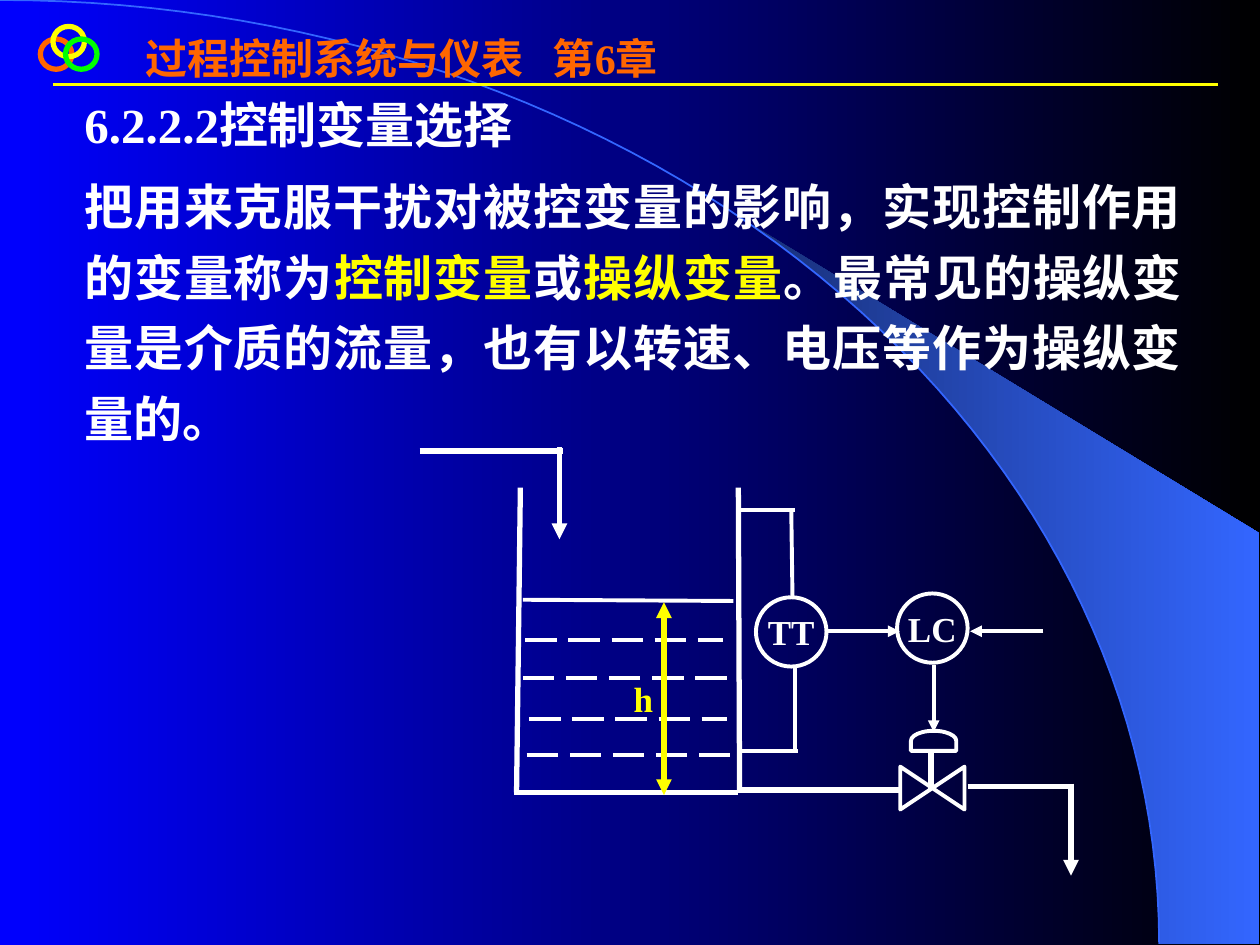
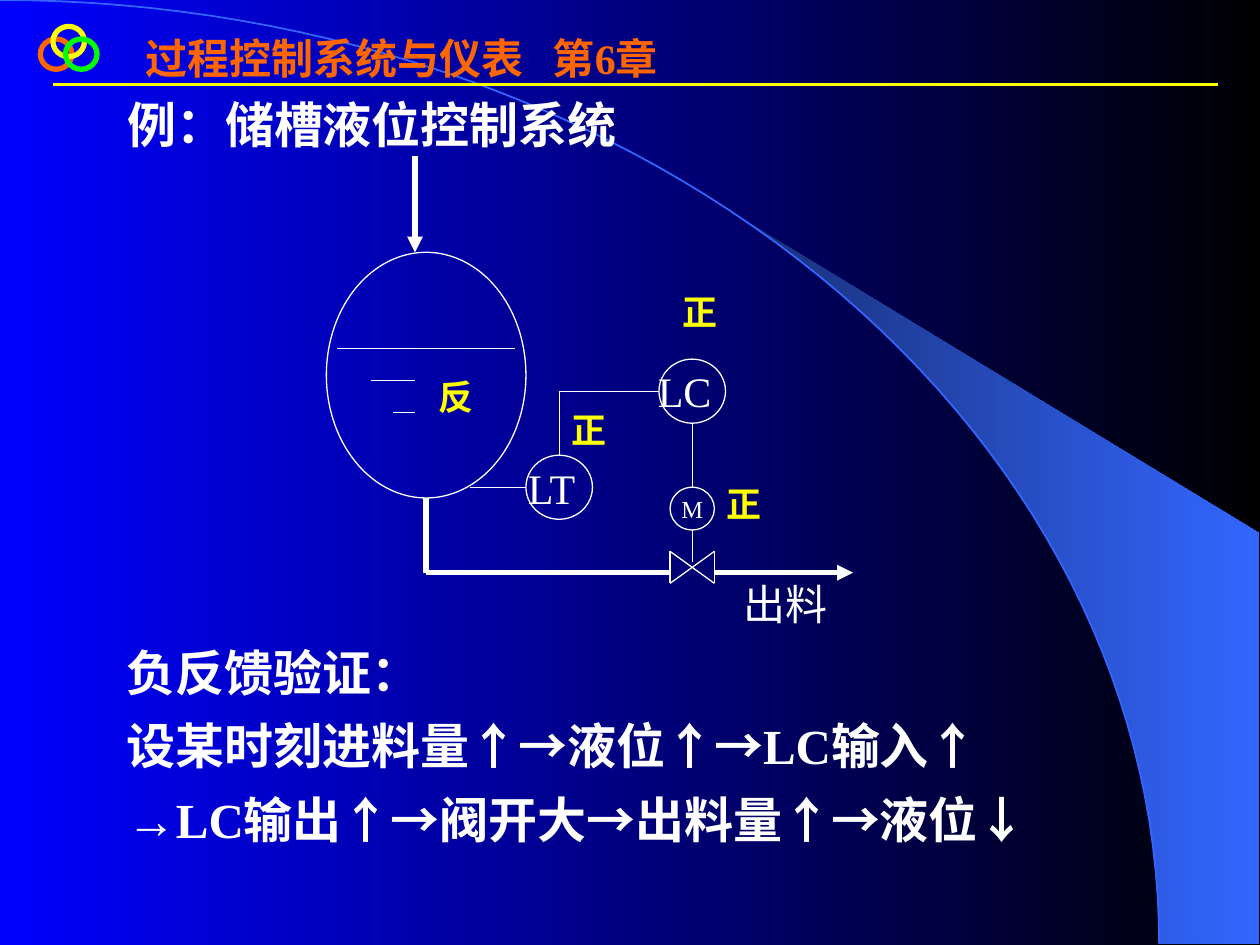
from dataclasses import dataclass
from math import asin, cos, pi, sin

from lxml.etree import SubElement
from pptx import Presentation
from pptx.dml.color import RGBColor
from pptx.enum.dml import MSO_LINE as DASH
from pptx.enum.shapes import MSO_CONNECTOR as LINK, MSO_SHAPE as SHAPE
from pptx.enum.text import MSO_ANCHOR as ANCHOR, MSO_AUTO_SIZE as AUTO, PP_ALIGN as ALIGN
from pptx.oxml.ns import qn
from pptx.util import Inches, Pt

SLIDE_W, SLIDE_H = 10, 7.5
FONT = "Times New Roman"
WHITE, YELLOW, ORANGE, GREEN = "FFFFFF", "FFFF00", "FF6600", "00FF00"
BLUE, BLACK, SKY, NAVY = "0000FF", "000000", "3366FF", "182F76"
THIN, MEDIUM, THICK = 0.75, 2.25, 3


def color(hex_code):
    return RGBColor.from_string(hex_code)


@dataclass
class Box:
    """A region in inches, divided into columns and rows."""
    left: float
    top: float
    width: float
    height: float
    cols: float = 1
    rows: float = 1

    def point(self, col, row):
        return (Inches(self.left + col * self.width / self.cols),
                Inches(self.top + row * self.height / self.rows))

    def span(self, col, row, cols, rows):
        left, top = self.point(col, row)
        right, bottom = self.point(col + cols, row + rows)
        return left, top, right - left, bottom - top


SLIDE = Box(0, 0, SLIDE_W, SLIDE_H, SLIDE_W, SLIDE_H)


def set_gradient(fill, start, end):
    fill.gradient()
    fill.gradient_angle = 0
    for stop, hex_code in zip(fill.gradient_stops, (start, end)):
        stop.color.rgb = color(hex_code)


def style_font(run, size, hex_code, bold):
    run.font.name = FONT
    run.font.size = Pt(size)
    run.font.bold = bold
    run.font.color.rgb = color(hex_code)


def format_text(frame, size, hex_code=WHITE, bold=True, align=ALIGN.LEFT, spacing=1.0):
    for paragraph in frame.paragraphs:
        paragraph.alignment = align
        paragraph.line_spacing = spacing
        for run in paragraph.runs:
            style_font(run, size, hex_code, bold)


def add_text(slide, place, text, size, hex_code=WHITE, bold=True, wrap=True, **layout):
    frame = slide.shapes.add_textbox(*place).text_frame
    frame.text = text
    frame.word_wrap = wrap
    format_text(frame, size, hex_code, bold, **layout)
    return frame


def add_line(slide, box, start, end, width, hex_code=WHITE, heads=(), dash=None):
    """heads lists the ends with arrows: headEnd at the start, tailEnd at the end."""
    link = slide.shapes.add_connector(LINK.STRAIGHT, *box.point(*start), *box.point(*end))
    link.line.color.rgb = color(hex_code)
    link.line.width = Pt(width)
    if dash:
        link.line.dash_style = dash
    properties = link.element.spPr
    for head in heads:
        SubElement(properties.find(qn("a:ln")), qn(f"a:{head}"), type="triangle")
    SubElement(properties, qn("a:effectLst"))


def add_arrow(slide, box, start, end, width):
    add_line(slide, box, start, end, width, heads=["tailEnd"])


def add_outline(slide, place, kind, width, hex_code=WHITE, rotation=0):
    outline = slide.shapes.add_shape(kind, *place)
    outline.shadow.inherit = False
    outline.fill.background()
    outline.line.color.rgb = color(hex_code)
    outline.line.width = Pt(width)
    outline.rotation = rotation
    return outline


def add_instrument(slide, place, label, width, size, bold, shift=0):
    """Circle with a letter code, moved left of its centre by shift inches."""
    circle = add_outline(slide, place, SHAPE.OVAL, width)
    frame = circle.text_frame
    frame.text = label
    frame.word_wrap = False
    frame.vertical_anchor = ANCHOR.MIDDLE
    frame.margin_left = frame.margin_top = frame.margin_bottom = 0
    frame.margin_right = Inches(2 * shift)
    format_text(frame, size, bold=bold, align=ALIGN.CENTER)


def add_curves(slide, box):
    """Quarter ellipse over the box, with a bright wedge outside its lower part."""
    def on_arc(angle):
        return box.point(sin(angle), 1 - cos(angle))

    def draw(points, close):
        builder = slide.shapes.build_freeform(*points[0])
        builder.add_line_segments(points[1:], close=close)
        shape = builder.convert_to_shape()
        shape.shadow.inherit = False
        return shape

    steps = 60
    tip = asin(0.64)
    rim = [on_arc(tip + (pi / 2 - tip) * i / steps) for i in range(steps + 1)]
    wedge = draw(rim + [SLIDE.point(9.99, 7.49), SLIDE.point(9.99, 4.23)], True)
    set_gradient(wedge.fill, NAVY, SKY)
    wedge.line.fill.background()
    arc = draw([on_arc(pi / 2 * i / steps) for i in range(steps + 1)], False)
    arc.fill.background()
    arc.line.color.rgb = color(SKY)
    arc.line.width = Pt(1)


def add_header(slide, box):
    add_line(slide, box, (0.42, 0.67), (9.67, 0.67), 1.5, YELLOW)
    chapter = add_text(slide, box.span(1.06, 0.21, 6, 0.5),
                       "过程控制系统与仪表\t第6章", 24, ORANGE)
    properties = chapter.paragraphs[0]._p.get_or_add_pPr()
    tabs = SubElement(properties, qn("a:tabLst"))
    SubElement(tabs, qn("a:tab"), pos=str(Inches(3.23)), algn="l")
    for i, (ring_color, top) in enumerate([(ORANGE, 0.31), (YELLOW, 0.21), (GREEN, 0.31)]):
        add_outline(slide, box.span(0.32 + 0.1 * i, top, 0.25, 0.24), SHAPE.OVAL, 3, ring_color)


def add_titled_slide(deck, heading, left):
    slide = deck.slides.add_slide(deck.slide_layouts[5])
    add_curves(slide, Box(0, 0, 9.2, 7.49))
    add_header(slide, SLIDE)
    title = slide.shapes.title
    slide.shapes.element.append(title.element)  # in front of the curves
    title.left, title.top, title.width, title.height = SLIDE.span(left, 0.7, 6, 0.57)
    frame = title.text_frame
    frame.text = heading
    frame.auto_size = AUTO.NONE
    frame.vertical_anchor = ANCHOR.TOP
    format_text(frame, 28)
    return slide


def add_definition(slide, box):
    parts = [("把用来克服干扰对被控变量的影响，实现控制作用的变量称为", WHITE),
             ("控制变量", YELLOW), ("或", WHITE), ("操纵变量", YELLOW),
             ("。最常见的操纵变量是介质的流量，也有以转速、电压等作为操纵变量的。", WHITE)]
    frame = add_text(slide, box.span(0, 0, 1, 1), "", 28, align=ALIGN.JUSTIFY, spacing=1.2)
    for text, hex_code in parts:
        run = frame.paragraphs[0].add_run()
        run.text = text
        style_font(run, 28, hex_code, True)


def add_open_tank(slide, box):
    walls_and_pipes = [
        ((0.3, 0.8), (11.7, 0.8)),
        ((8.3, 3.7), (8, 27.9)), ((25.6, 3.7), (25.7, 27.9)), ((7.8, 27.9), (25.6, 27.9)),
        ((25.6, 27.7), (38.5, 27.7)), ((43.8, 27.4), (52.2, 27.4)),
        ((40.9, 24.6), (40.9, 27.6))]
    for start, end in walls_and_pipes:
        add_line(slide, box, start, end, THICK)
    for start, end in [((11.4, 0.5), (11.4, 7.8)), ((52, 27.2), (52, 34.5))]:
        add_arrow(slide, box, start, end, THICK)

    add_line(slide, box, (8.5, 12.6), (25.2, 12.7), MEDIUM)
    for left, right, row in [(8.7, 24.4, 15.8), (8.5, 25.4, 18.8),
                             (9, 24.7, 22.1), (8.8, 25.6, 24.9)]:
        add_line(slide, box, (left, row), (right, row), MEDIUM, dash=DASH.LONG_DASH)
    add_line(slide, box, (19.7, 12.8), (19.7, 28.1), THICK, YELLOW, ["headEnd", "tailEnd"])
    add_text(slide, box.span(16.3, 18.3, 3.5, 4.4), "h", 20, YELLOW,
             wrap=False, align=ALIGN.CENTER)


def add_level_loop(slide, box):
    """Transmitter, controller and valve beside the open tank."""
    add_outline(slide, box.span(39.3, 25, 3.4, 5.1), SHAPE.FLOWCHART_COLLATE, MEDIUM, rotation=270)
    add_outline(slide, box.span(40.3, 22, 1.6, 3.6), SHAPE.FLOWCHART_DELAY, MEDIUM, rotation=270)
    for start, end in [((25.7, 5.5), (30.1, 5.5)), ((29.8, 5.5), (29.9, 12.5)),
                       ((25.5, 24.6), (30.3, 24.6)), ((30.1, 17.8), (30.1, 24.6))]:
        add_line(slide, box, start, end, MEDIUM)
    for start, end in [((32.6, 15.1), (38.4, 15.1)), ((41.1, 17.8), (41.1, 23.1)),
                       ((49.8, 15.1), (44, 15.1))]:
        add_arrow(slide, box, start, end, MEDIUM)
    for label, col, row in [("LC", 38.2, 12.1), ("TT", 27, 12.4)]:
        add_instrument(slide, box.span(col, row, 5.6, 5.5), label, MEDIUM, 20, True)


def add_storage_tank(slide, box):
    add_outline(slide, box.span(0, 9, 18, 23), SHAPE.OVAL, THIN)
    liquid = [((1, 18), (17, 18)), ((4, 21), (8, 21)), ((6, 24), (8, 24))]
    valve = [((31, 37), (31, 40)), ((35, 37), (35, 40)),
             ((31, 37), (35, 40)), ((35, 37), (31, 40))]
    signals = [((33, 38), (33, 35)), ((13, 31), (18, 31)), ((21, 28), (21, 22)),
               ((33, 25), (33, 31)), ((21, 22), (30, 22))]
    for start, end in liquid + valve + signals:
        add_line(slide, box, start, end, THIN)
    for start, end in [((9, 32), (9, 39)), ((9, 39), (31, 39))]:
        add_line(slide, box, start, end, THICK)
    for start, end in [((8, 0), (8, 9)), ((35, 39), (47.5, 39))]:
        add_arrow(slide, box, start, end, THICK)

    for label, col, row in [("LT", 18, 28), ("LC", 30, 19)]:
        add_instrument(slide, box.span(col, row, 6, 6), label, THIN, 24, False, 0.06)
    add_instrument(slide, box.span(31, 31, 4, 4), "M", THIN, 14, False)
    for sign, col, row in [("正", 31, 12), ("正", 21, 23), ("正", 35, 30), ("反", 9, 20)]:
        add_text(slide, box.span(col, row, 5.5, 5), sign, 20, YELLOW, wrap=False)
    add_text(slide, box.span(36.5, 39, 10, 6), "出料", 24, bold=False, wrap=False)


def add_feedback_check(slide, box):
    steps = ["负反馈验证：", "设某时刻进料量↑→液位↑→LC输入↑",
             "→LC输出↑→阀开大→出料量↑→液位↓"]
    add_text(slide, box.span(0, 0, 1, 1), "\n".join(steps), 28, spacing=1.25)


def main():
    deck = Presentation()
    deck.slide_width, deck.slide_height = Inches(SLIDE_W), Inches(SLIDE_H)
    set_gradient(deck.slide_master.background.fill, BLUE, BLACK)

    selection = add_titled_slide(deck, "6.2.2.2控制变量选择", 0.57)
    add_definition(selection, Box(0.57, 1.26, 8.91, 2.34))
    open_tank = Box(3.3, 3.5, 5.2, 3.5, 52, 35)
    add_open_tank(selection, open_tank)
    add_level_loop(selection, open_tank)

    example = add_titled_slide(deck, "例：储槽液位控制系统", 0.91)
    add_storage_tank(example, Box(2.59, 1.24, 4.18, 3.39, 47.5, 40))
    add_feedback_check(example, Box(0.91, 4.93, 8.07, 1.85))

    deck.save("out.pptx")


if __name__ == "__main__":
    main()
